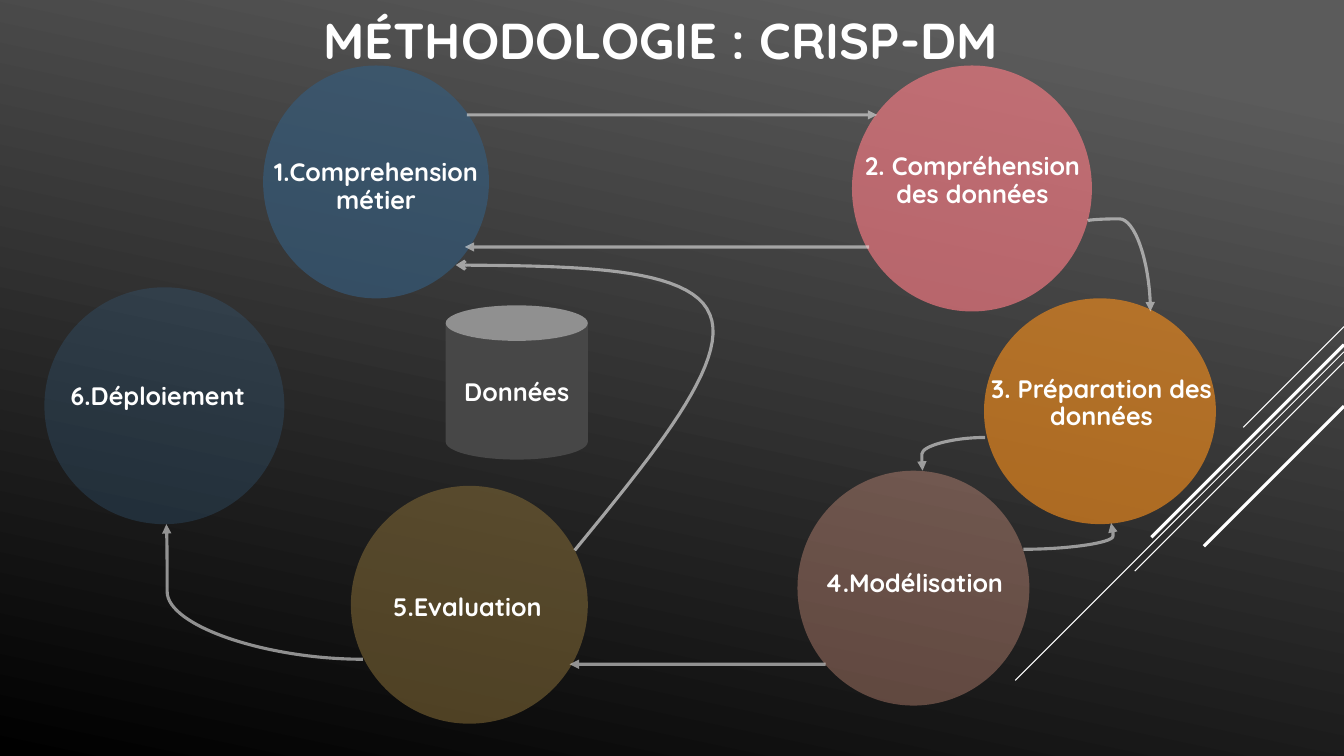
from lxml import etree
from pptx import Presentation
from pptx.dml.color import RGBColor
from pptx.enum.shapes import MSO_CONNECTOR, MSO_SHAPE
from pptx.enum.text import MSO_ANCHOR, PP_ALIGN
from pptx.oxml.ns import qn
from pptx.util import Inches, Pt

OVAL, CAN = MSO_SHAPE.OVAL, MSO_SHAPE.CAN
LINE, CURVE = MSO_CONNECTOR.STRAIGHT, MSO_CONNECTOR.CURVE
TOP, MIDDLE, CENTER = MSO_ANCHOR.TOP, MSO_ANCHOR.MIDDLE, PP_ALIGN.CENTER
WHITE = RGBColor(0xFF, 0xFF, 0xFF)
BLACK = RGBColor(0, 0, 0)
SMOKE = RGBColor(0x5B, 0x5B, 0x5B)
COAL = RGBColor(0x47, 0x47, 0x47)
PALE = RGBColor(0xE6, 0xE6, 0xE6)
SILVER = RGBColor(0xA3, 0xA3, 0xA3)
BLUE = RGBColor(0x35, 0x5C, 0x7D)
PINK = RGBColor(0xF6, 0x7A, 0x83)
ORANGE = RGBColor(0xEF, 0x8B, 0x1D)
PEACH = RGBColor(0xF8, 0xAD, 0x94)
OLIVE = RGBColor(0x7C, 0x65, 0x35)
COLS, ROWS = 133.3, 75


class Board:
    """Draws styled elements on one slide, placed in columns and rows."""

    def __init__(self, deck):
        self.font = "Quicksand"
        self.col = deck.slide_width / COLS
        self.row = deck.slide_height / ROWS
        self.slide = deck.slides.add_slide(deck.slide_layouts[6])
        self.shapes = self.slide.shapes

    def place(self, x, y, w, h):
        return [round(v * unit) for v, unit in
                zip((x, y, w, h), (self.col, self.row) * 2)]

    def back(self, stops, angle):
        fill = self.slide.background.fill
        fill.gradient()
        fill.gradient_angle = angle
        for stop, (spot, color) in zip(fill.gradient_stops, stops):
            stop.position, stop.color.rgb = spot, color

    def fade(self, paint, alpha):
        color = next(paint.iter(qn("a:srgbClr")))
        etree.SubElement(color, qn("a:alpha")).set("val", str(alpha * 1000))

    def solid(self, kind, box, color, alpha=100):
        shape = self.shapes.add_shape(kind, *self.place(*box))
        shape.shadow.inherit = False
        shape.fill.solid()
        shape.fill.fore_color.rgb = color
        if alpha < 100:
            self.fade(shape.element.spPr.find(qn("a:solidFill")), alpha)
        shape.line.fill.background()
        return shape

    def letter(self, shape, text, size=18, anchor=MIDDLE, lead=1.0):
        frame = shape.text_frame
        frame.word_wrap = True
        frame.vertical_anchor = anchor
        frame.text = text
        para = frame.paragraphs[0]
        para.alignment, para.line_spacing = CENTER, lead
        font = para.runs[0].font
        font.name, font.size, font.bold = self.font, Pt(size), True
        font.color.rgb = WHITE

    def label(self, box, text, **style):
        self.letter(self.shapes.add_textbox(*self.place(*box)), text, **style)

    def stroke(self, shape, color, width, head=None):
        shape.line.color.rgb, shape.line.width = color, Pt(width)
        if head:
            line = shape.element.spPr.find(qn("a:ln"))
            etree.SubElement(line, qn("a:tailEnd")).set("type", head)

    def link(self, kind, ends, color=PALE, width=2.25, alpha=60, head="triangle"):
        link = self.shapes.add_connector(kind, *self.place(*ends))
        self.stroke(link, color, width, head)
        props = link.element.spPr
        if alpha < 100:
            self.fade(props.find(qn("a:ln")), alpha)
        etree.SubElement(props, qn("a:effectLst"))
        return props

    def bend(self, ends, turn, adjust):
        props = self.link(CURVE, ends)
        props.find(qn("a:xfrm")).set("rot", str(turn * 60000))
        guides = next(props.iter(qn("a:avLst")))
        guide = etree.SubElement(guides, qn("a:gd"))
        guide.set("name", "adj1")
        guide.set("fmla", f"val {round(adjust * 100000)}")

    def sweep(self, curves, steps=24):
        dots = []
        for a, b, c, d in curves:
            for i in range(steps + 1):
                t = i / steps
                s = 1 - t
                dots.append(tuple(
                    round((s**3 * p + 3 * s * s * t * q + 3 * s * t * t * r + t**3 * e) * unit)
                    for p, q, r, e, unit in zip(a, b, c, d, (self.col, self.row))))
        trail = self.shapes.build_freeform(*dots[0])
        trail.add_line_segments(dots[1:], close=False)
        shape = trail.convert_to_shape()
        shape.shadow.inherit = False
        shape.fill.background()
        self.stroke(shape, SILVER, 2.25, "arrow")


RAYS = [(32.4, 10, 0.75), (34.9, 32.6, 0.75), (35.9, 20.75, 0.75),
        (34.2, 19.1, 2.25), (40.3, 13.9, 2.25)]
STEPS = [
    ("1.Comprehension métier", (26.1, 6.5, 22.4, 23.1), BLUE, 66, (22, 15.4, 30.6, 6.5)),
    ("2. Compréhension des données", (84.5, 6.5, 23.8, 24.4), PINK, 66, (82.5, 14.8, 27.9, 6.5)),
    ("3. Préparation des données", (97.6, 29.6, 23, 22.4), ORANGE, 66, (95.3, 36.9, 27.9, 6.5)),
    ("4.Modélisation", (79.1, 46.7, 23, 23.3), PEACH, 33, (76.7, 56.1, 27.9, 3.7)),
    ("5.Evaluation", (34.8, 48.2, 23.5, 23.6), OLIVE, 60, (32.4, 58.5, 27.9, 3.7)),
    ("6.Déploiement", (4.4, 28.5, 23.8, 23.5), BLUE, 33, (1.7, 37.6, 27.9, 3.7)),
]
ARROWS = [(46.3, 11.4, 87, 11.4), (86.2, 24.5, 46.1, 24.5), (81.9, 65.9, 56.5, 65.9)]
BENDS = [
    ((16.5, 52, 36, 65.4), 180, 0.996),
    ((91.5, 46.7, 97.7, 43.4), 180, 1.012),
    ((101.5, 54.5, 110.2, 51.9), 0, 1.022),
    ((115.5, 23.3, 106.5, 29.5), 270, -0.021),
]
RETURN = [((57, 54.6), (64.7, 45.2), (72.4, 35.9), (70.4, 31.2)),
          ((70.4, 31.2), (68.5, 26.4), (56.8, 26.4), (45.2, 26.3))]


def main():
    deck = Presentation()
    deck.slide_width, deck.slide_height = Inches(13.33), Inches(7.5)
    board = Board(deck)
    board.back([(0.1, SMOKE), (1, BLACK)], 258)
    for y, run, width in RAYS:
        board.link(LINE, (COLS, y, COLS - run, y + run), WHITE, width, 100, None)
    for text, disc, color, alpha, box in STEPS:
        board.solid(OVAL, disc, color, alpha)
        board.label(box, text, anchor=TOP, lead=0.9)
    board.letter(board.solid(CAN, (44.2, 30.3, 14.1, 15.3), COAL), "Données")
    board.label((29.3, 0.1, 72.4, 7.6), "MÉTHODOLOGIE : CRISP-DM", size=36)
    for ends in ARROWS:
        board.link(LINE, ends)
    for ends, turn, adjust in BENDS:
        board.bend(ends, turn, adjust)
    board.sweep(RETURN)
    deck.save("out.pptx")


if __name__ == "__main__":
    main()
